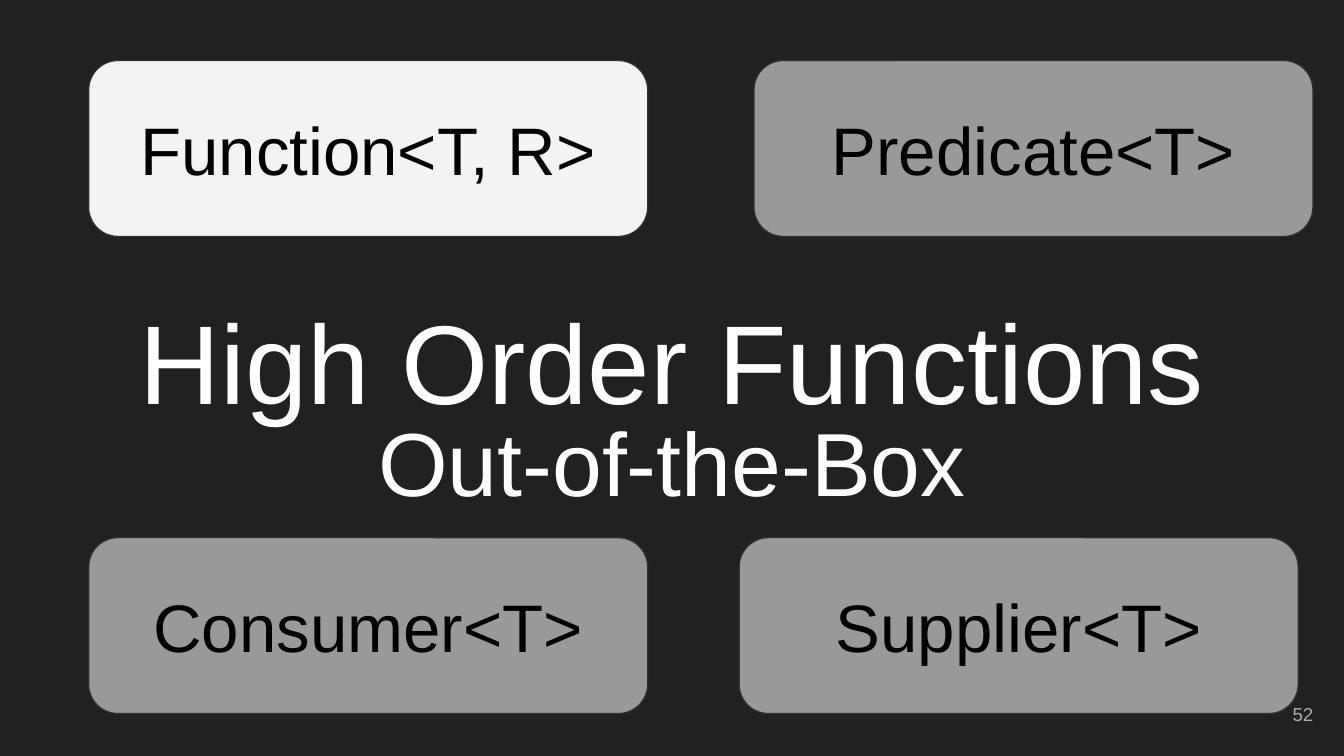
from pptx import Presentation
from pptx.dml.color import RGBColor
from pptx.enum.shapes import MSO_SHAPE as Shape
from pptx.enum.text import MSO_ANCHOR as Anchor, MSO_AUTO_SIZE as AutoSize, PP_ALIGN as Align
from pptx.util import Inches, Pt

COLORS = {
    "background": "212121",
    "heading": "FFFFFF",
    "active": "F3F3F3",
    "inactive": "999999",
    "outline": "303030",
    "label": "000000",
    "number": "ADADAD",
}


def color(name):
    return RGBColor.from_string(COLORS[name])


def write_text(shape, text, size, ink, align=Align.CENTER):
    frame = shape.text_frame
    frame.word_wrap = True
    frame.auto_size = AutoSize.NONE
    frame.vertical_anchor = Anchor.MIDDLE
    frame.margin_left = frame.margin_right = Inches(0.1)
    frame.margin_top = frame.margin_bottom = Inches(0.1)
    paragraph = frame.paragraphs[0]
    paragraph.alignment = align
    paragraph.space_before = Pt(0)
    run = paragraph.add_run()
    run.text = text
    run.font.name = "Arial"
    run.font.size = Pt(size)
    run.font.color.rgb = color(ink)


class FunctionSlide:
    """Holds the style and the current slide, and adds its elements."""

    def __init__(self, presentation):
        self.slide = presentation.slides.add_slide(presentation.slide_layouts[0])
        fill = self.slide.background.fill
        fill.solid()
        fill.fore_color.rgb = color("background")

    def heading(self, index, text, top, size):
        shape = self.slide.placeholders[index]
        shape.left, shape.top = Inches(0.34), Inches(top)
        shape.width, shape.height = Inches(9.32), Inches(0.92)
        write_text(shape, text, size, "heading")

    def card(self, text, left, top, fill="inactive"):
        shape = self.slide.shapes.add_shape(
            Shape.ROUNDED_RECTANGLE, Inches(left), Inches(top), Inches(4.16), Inches(1.31)
        )
        shape.shadow.inherit = False
        shape.fill.solid()
        shape.fill.fore_color.rgb = color(fill)
        shape.line.color.rgb = color("outline")
        shape.line.width = Pt(0.75)
        write_text(shape, text, 36, "label")

    def page_number(self, number):
        shape = self.slide.shapes.add_textbox(
            Inches(9.27), Inches(5.1), Inches(0.6), Inches(0.43)
        )
        write_text(shape, str(number), 10, "number", align=Align.RIGHT)


def main():
    presentation = Presentation()
    presentation.slide_width = Inches(10)
    presentation.slide_height = Inches(10 * 9 / 16)

    slide = FunctionSlide(presentation)
    slide.heading(0, "High Order Functions", top=2.22, size=60)
    slide.heading(1, "Out-of-the-Box", top=2.97, size=48)

    left, upper, lower = 0.66, 0.45, 4
    slide.card("Function<T, R>", left, upper, fill="active")
    slide.card("Predicate<T>", 5.61, upper)
    slide.card("Consumer<T>", left, lower)
    slide.card("Supplier<T>", 5.5, lower)
    slide.page_number(52)

    presentation.save("out.pptx")


if __name__ == "__main__":
    main()
